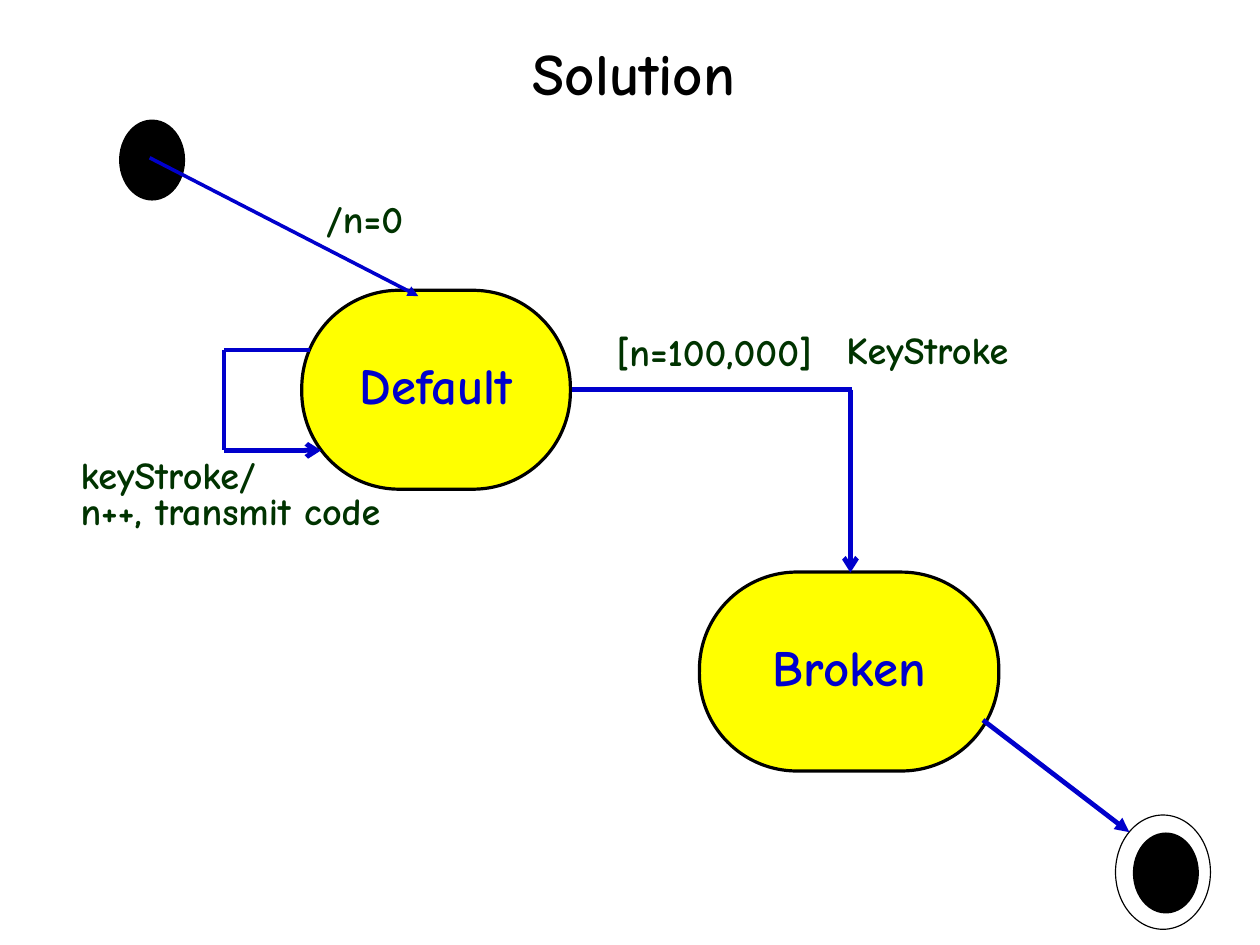
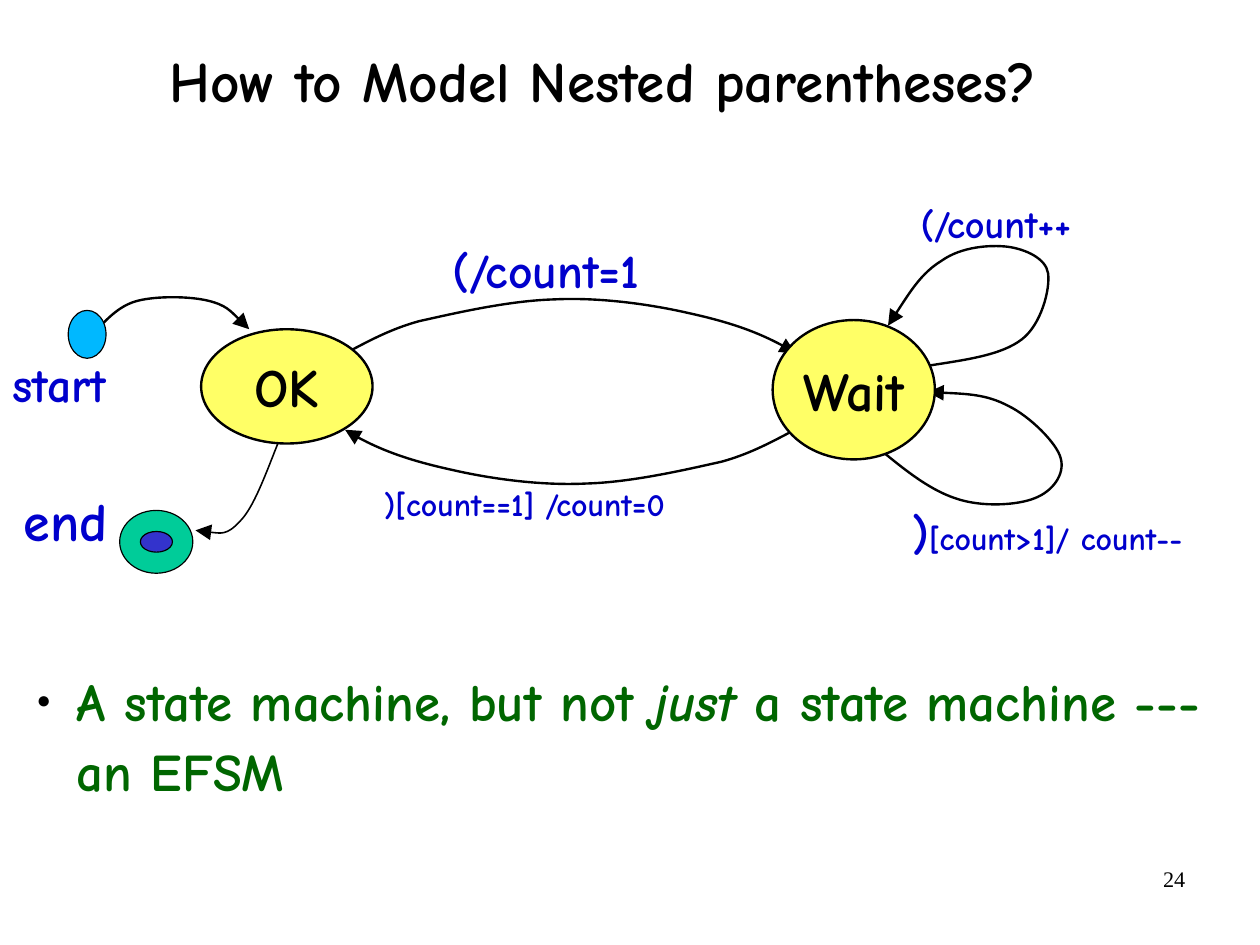
from lxml import etree
from pptx import Presentation, util as u
from pptx.dml.color import RGBColor
from pptx.enum import shapes as kinds, text as t
from pptx.oxml.ns import qn

Pt = u.Pt
rgb = RGBColor.from_string
MID, LEFT, RIGHT = t.PP_ALIGN.CENTER, t.PP_ALIGN.LEFT, t.PP_ALIGN.RIGHT
BLACK, BLUE, GREEN, DARK = "000000", "0000CC", "006600", "003300"
YELLOW, PALE = "FFFF00", "FFFF66"
ROUND, OVAL = kinds.MSO_SHAPE.ROUNDED_RECTANGLE, kinds.MSO_SHAPE.OVAL
DOT = kinds.MSO_SHAPE.FLOWCHART_CONNECTOR


def write(frame, *lines, size=24, hue=BLUE, font="Comic Neue", bold=True,
          align=LEFT, gap=1.0, anchor=t.MSO_ANCHOR.TOP, wrap=True):
    """Write each line as a paragraph; a line is a string or a tuple of runs."""
    frame.auto_size = t.MSO_AUTO_SIZE.NONE
    frame.word_wrap = wrap
    frame.vertical_anchor = anchor
    frame.margin_left = frame.margin_right = Pt(7.9)
    frame.margin_top = frame.margin_bottom = Pt(4.3)
    for i, line in enumerate(lines):
        para = frame.add_paragraph() if i else frame.paragraphs[0]
        para.alignment, para.line_spacing = align, gap
        para.space_before = Pt(0)
        for part in (line,) if isinstance(line, str) else line:
            run = para.add_run()
            run.text = part
            run.font.name, run.font.size, run.font.bold = font, Pt(size), bold
            run.font.color.rgb = rgb(hue)
    return frame.paragraphs[0]


def stroke(shape, hue=BLACK, width=1.5, tip=None, scale="med"):
    """Set the outline and arrowhead, and take the shadow away."""
    shape.line.color.rgb = rgb(hue)
    shape.line.width = Pt(width)
    props = shape.element.spPr
    if tip:
        etree.SubElement(props.find(qn("a:ln")), qn("a:tailEnd"), type=tip,
                         w=scale, len=scale)
    etree.SubElement(props, qn("a:effectLst"))


deck = Presentation()
deck.slide_width, deck.slide_height = Pt(793.7), Pt(595.28)

# Slides and titles
pages = []
for layout, name, box, size, gap, anchor in (
    (5, "Solution", (61, 0, 676.8, 98.6), 37, 0.8, t.MSO_ANCHOR.MIDDLE),
    (1, "How to Model Nested parentheses?", (18.7, 35.3, 722.2, 41), 36, 0.88,
     t.MSO_ANCHOR.BOTTOM),
):
    page = deck.slides.add_slide(deck.slide_layouts[layout])
    title = page.shapes.title
    title.left, title.top, title.width, title.height = map(Pt, box)
    write(title.text_frame, name, size=size, hue=BLACK, align=MID, gap=gap,
          anchor=anchor)
    pages.append(page)
first, second = pages

# Curved transitions: a start point, then three points per Bezier piece
there = [(217.4, 222.5), (225.4, 218.9), (242.6, 208.1), (264.2, 202.3),
         (286.6, 197.3), (320.4, 189.4), (349.2, 188.6), (377.3, 187.2),
         (409, 191.5), (434.2, 197.3), (460.1, 203), (484.6, 211.7),
         (501.1, 222.5)]
back = [(718.5 - x, 493.2 - y) for x, y in there]
lower = [(551.5, 280.8), (568.1, 294.5), (584.6, 308.2), (601.9, 313.9),
         (618.5, 319.7), (640.8, 318.2), (651.6, 313.9), (663.1, 309.6),
         (671, 298.8), (668.2, 288.7), (666, 279.4), (648.7, 262.1),
         (635, 255.6), (621.4, 248.4), (603.4, 247.7), (584.6, 247)]
upper = [(584.6, 230.4), (607.7, 226.8), (630.7, 223.9), (643.7, 213.8),
         (655.9, 204.5), (661.7, 182.2), (660.2, 172.1), (658.8, 162.7),
         (645.8, 157), (635, 155.5), (623.5, 154.1), (605.5, 155.5),
         (593.3, 164.2), (580.3, 172.1), (570.2, 188.6), (559.4, 205.2)]
enter = [(61.2, 207.4), (68.4, 200.2), (75.6, 192.2), (87.1, 189.4),
         (98.6, 186.5), (118.8, 186.5), (131, 189.4), (142.6, 192.2),
         (149.8, 200.2), (157, 207.4)]
leave = [(175, 279.4), (167, 299.5), (159.8, 319.7), (151.2, 328.3),
         (142.6, 337.7), (133.2, 335.5), (123.1, 334.1)]
for points, width in ((there, 1.5), (back, 1.5), (lower, 1.5), (upper, 1.5),
                      (enter, 1.5), (leave, 1)):
    start, *rest = [(Pt(x), Pt(y)) for x, y in points]
    pen = second.shapes.build_freeform(*start)
    pen.add_line_segments(rest, close=False)
    curve = pen.convert_to_shape()
    curve.fill.background()
    stroke(curve, width=width, tip="triangle", scale="lg")
    trace = curve.element.find(".//" + qn("a:path"))
    steps = trace.findall(qn("a:lnTo"))
    for i in range(0, len(steps), 3):
        piece = etree.SubElement(trace, qn("a:cubicBezTo"))
        for step in steps[i:i + 3]:
            piece.append(step[0])
            trace.remove(step)

# States, start and end marks
for page, kind, box, fill, width, name, size, hue, gap in (
    (first, ROUND, (190.1, 182.9, 169.2, 125.3), YELLOW, 2, "Default", 32, BLUE, 0.8),
    (first, ROUND, (440.6, 360.4, 188.6, 125.3), YELLOW, 2, "Broken", 32, BLUE, 0.8),
    (first, DOT, (76, 76.3, 39.6, 49), BLACK, 2, "", 0, "", 1),
    (first, DOT, (714.6, 525.4, 39.6, 49), BLACK, 2, "", 0, "", 1),
    (first, OVAL, (702.7, 513.4, 59.8, 72), None, 0.75, "", 0, "", 1),
    (second, OVAL, (43, 195.5, 23.8, 30.2), "00B8FF", 0.75, "", 0, "", 1),
    (second, OVAL, (126.7, 207.4, 108, 72), PALE, 1.5, "OK", 34, BLACK, 1),
    (second, OVAL, (486.7, 201.6, 102.2, 87.8), PALE, 1.5, "Wait", 34, BLACK, 1),
    (second, OVAL, (75.4, 321.5, 46.1, 39.6), "00CC99", 0.75, "", 0, "", 1),
    (second, OVAL, (88.4, 334.8, 20.2, 13), "3333CC", 0.75, "", 0, "", 1),
):
    state = page.shapes.add_shape(kind, *map(Pt, box))
    if kind == ROUND:
        state.adjustments[0] = 0.49
    if fill:
        state.fill.solid()
        state.fill.fore_color.rgb = rgb(fill)
    else:
        state.fill.background()
    stroke(state, width=width)
    if name:
        write(state.text_frame, name, size=size, hue=hue, align=MID, gap=gap,
              anchor=t.MSO_ANCHOR.MIDDLE, wrap=False)

# Straight transitions
for ends, width, tip in (
    ((360.4, 245.5, 537, 245.5), 3, None),
    ((535.7, 245.5, 535.7, 360.7), 3, "arrow"),
    ((141.1, 220.5, 195, 220.5), 3, None),
    ((141.1, 220.5, 141.1, 283.7), 3, None),
    ((141.1, 283.7, 202.3, 283.7), 3, "arrow"),
    ((94.3, 99.4, 263.5, 186.5), 2.25, "triangle"),
    ((619.2, 453.6, 711.4, 524.2), 3, "triangle"),
):
    line = first.shapes.add_connector(kinds.MSO_CONNECTOR.STRAIGHT, *map(Pt, ends))
    stroke(line, BLUE, width, tip)

# Labels
guard = dict(hue=DARK, gap=0.8)
for page, box, lines, look in (
    (first, (380.6, 208.2, 150, 31), ["[n=100,000]"], guard),
    (first, (42.8, 285.3, 306, 54), ["keyStroke/", "n++, transmit code"], guard),
    (first, (197.6, 124.2, 80, 31), ["/n=0"], guard),
    (first, (525.2, 206.7, 130, 31), ["KeyStroke"], guard),
    (second, (277.2, 147.6, 250.6, 43.9), ["(/count=1"], dict(size=30)),
    (second, (234, 301.2, 300, 31.7), [")[count==1] /count=0"], dict(size=20)),
    (second, (572, 122, 221, 36.7), ["(/count++"], dict(size=24)),
    (second, (566.6, 312.7, 226.8, 43.9), [(")", "[count>1]/ count--")],
     dict(size=20)),
    (second, (0, 219.2, 92.2, 43.9), ["start"], dict(size=30)),
    (second, (7.2, 302.8, 104.4, 49), ["end"], dict(size=34)),
    (second, (569.6, 541, 185, 41), ["24"],
     dict(size=14, hue=BLACK, font="Times New Roman", bold=False, align=RIGHT)),
):
    label = page.shapes.add_textbox(*map(Pt, box))
    para = write(label.text_frame, *lines, **look)
    if len(para.runs) > 1:
        para.runs[0].font.size = Pt(30)

# Bulleted remark
body = second.placeholders[1]
body.left, body.top, body.width, body.height = map(Pt, (7.2, 412.8, 761.8, 99.4))
para = write(body.text_frame,
             ("A state machine, but not ", "just", " a state machine --- an EFSM"),
             size=33.3, hue=GREEN, gap=1.1)
para.runs[1].font.italic = True
props = para._p.get_or_add_pPr()
props.set("marL", str(Pt(33.1)))
props.set("indent", str(Pt(-25.2)))
tint = etree.SubElement(props, qn("a:buClr"))
etree.SubElement(tint, qn("a:srgbClr"), val=BLACK)
etree.SubElement(props, qn("a:buSzPct"), val="45000")
etree.SubElement(props, qn("a:buChar"), char="●")

deck.save("out.pptx")
